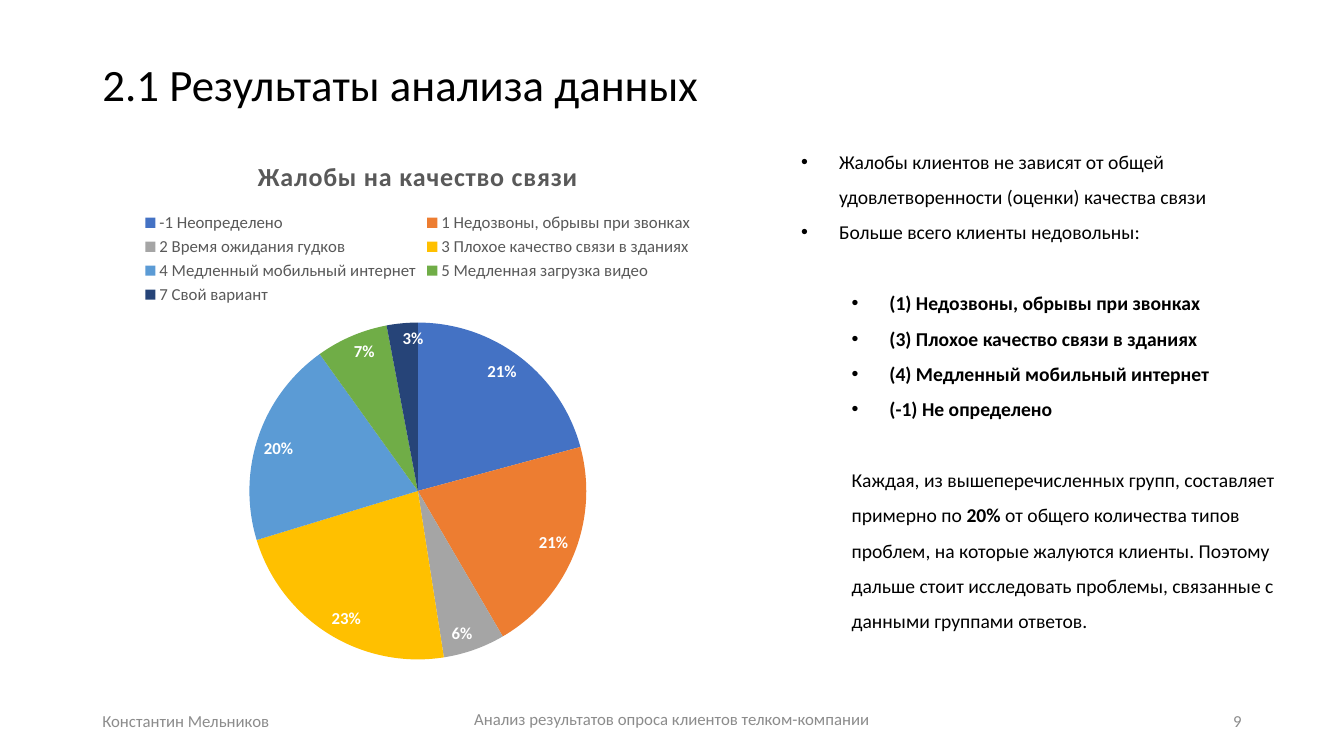
"""Build the slide on complaints about connection quality."""
from lxml import etree
from pptx import Presentation
from pptx.chart.data import CategoryChartData
from pptx.dml.color import RGBColor
from pptx.enum.chart import XL_CHART_TYPE, XL_LABEL_POSITION, XL_LEGEND_POSITION
from pptx.enum.text import MSO_ANCHOR, MSO_AUTO_SIZE, PP_ALIGN
from pptx.oxml.ns import qn
from pptx.util import Pt

LEFT, CENTER, RIGHT = PP_ALIGN.LEFT, PP_ALIGN.CENTER, PP_ALIGN.RIGHT
MIDDLE, TOP = MSO_ANCHOR.MIDDLE, MSO_ANCHOR.TOP
NO_AUTOFIT = MSO_AUTO_SIZE.NONE
PIE, LEGEND_TOP = XL_CHART_TYPE.PIE, XL_LEGEND_POSITION.TOP
INSIDE_END = XL_LABEL_POSITION.INSIDE_END

BLACK = RGBColor(0x00, 0x00, 0x00)
WHITE = RGBColor(0xFF, 0xFF, 0xFF)
DARK_GREY = RGBColor(0x59, 0x59, 0x59)
FOOTER_GREY = RGBColor(0x8C, 0x8C, 0x8C)
BLUE = RGBColor(0x44, 0x72, 0xC4)
ORANGE = RGBColor(0xED, 0x7D, 0x31)
GREY = RGBColor(0xA5, 0xA5, 0xA5)
YELLOW = RGBColor(0xFF, 0xC0, 0x00)
LIGHT_BLUE = RGBColor(0x5B, 0x9B, 0xD5)
GREEN = RGBColor(0x70, 0xAD, 0x47)
NAVY = RGBColor(0x26, 0x44, 0x78)

FONT = "Calibri"
HEADING = "2.1 Результаты анализа данных"
CHART_TITLE = "Жалобы на качество связи"
COMPLAINTS = [
    ("-1 Неопределено", 21, BLUE),
    ("1 Недозвоны, обрывы при звонках", 21, ORANGE),
    ("2 Время ожидания гудков", 6, GREY),
    ("3 Плохое качество связи в зданиях", 23, YELLOW),
    ("4 Медленный мобильный интернет", 20, LIGHT_BLUE),
    ("5 Медленная загрузка видео", 7, GREEN),
    ("7 Свой вариант", 3, NAVY),
]
FINDINGS = [
    "Жалобы клиентов не зависят от общей удовлетворенности (оценки) качества связи",
    "Больше всего клиенты недовольны:",
]
MAIN_GROUPS = [
    "(1) Недозвоны, обрывы при звонках",
    "(3) Плохое качество связи в зданиях",
    "(4) Медленный мобильный интернет",
    "(-1) Не определено",
]
CONCLUSION = [
    ("Каждая, из вышеперечисленных групп, составляет примерно по ", False),
    ("20%", True),
    (" от общего количества типов проблем, на которые жалуются клиенты. "
     "Поэтому дальше стоит исследовать проблемы, связанные с данными группами ответов.", False),
]
FOOTERS = [
    ("Константин Мельников", 66, 500.4, 216, LEFT),
    ("Анализ результатов опроса клиентов телком-компании", 318, 499, 324, CENTER),
    ("9", 678, 500.4, 216, RIGHT),
]
BULLET_INDENT = 27
GROUP_GAP = 25.5


def style_font(font, size, color, bold=False):
    for key, value in {"name": FONT, "size": Pt(size), "bold": bold}.items():
        setattr(font, key, value)
    font.color.rgb = color


def prepare_frame(frame, anchor):
    settings = {"word_wrap": True, "auto_size": NO_AUTOFIT, "vertical_anchor": anchor}
    for key, value in settings.items():
        setattr(frame, key, value)


def add_box(slide, left, top, width, height, anchor):
    frame = slide.shapes.add_textbox(Pt(left), Pt(top), Pt(width), Pt(height)).text_frame
    prepare_frame(frame, anchor)
    return frame


def add_heading(slide):
    heading = slide.shapes.title
    bounds = {"left": 66, "top": 0, "width": 828, "height": 81}
    for key, value in bounds.items():
        setattr(heading, key, Pt(value))
    heading.text_frame.text = HEADING
    prepare_frame(heading.text_frame, MIDDLE)
    paragraph = heading.text_frame.paragraphs[0]
    paragraph.alignment = LEFT
    paragraph.line_spacing = 2.0
    style_font(paragraph.runs[0].font, 32, BLACK)


def add_complaints_chart(slide):
    names, shares, colors = zip(*COMPLAINTS)
    data = CategoryChartData()
    data.categories = names
    data.add_series(CHART_TITLE, shares)
    chart = slide.shapes.add_chart(PIE, Pt(66), Pt(98), Pt(465), Pt(383), data).chart
    style_font(chart.font, 10, BLACK)

    chart.has_title = True
    chart.chart_title.include_in_layout = False
    chart.chart_title.text_frame.text = CHART_TITLE
    title_run = chart.chart_title.text_frame.paragraphs[0].runs[0]
    style_font(title_run.font, 18.6, DARK_GREY, True)
    title_run.font._element.set("spc", "50")

    chart.has_legend = True
    chart.legend.position = LEGEND_TOP
    chart.legend.include_in_layout = False
    style_font(chart.legend.font, 12, DARK_GREY)

    plot = chart.plots[0]
    plot.vary_by_categories = True
    for index, color in enumerate(colors):
        fill = plot.series[0].points[index].format.fill
        fill.solid()
        fill.fore_color.rgb = color
    plot.has_data_labels = True
    labels = plot.data_labels
    label_settings = {
        "show_percentage": True, "show_value": False, "position": INSIDE_END,
        "number_format": "0%", "number_format_is_linked": False,
    }
    for key, value in label_settings.items():
        setattr(labels, key, value)
    style_font(labels.font, 12, WHITE, True)


def add_findings(slide):
    frame = add_box(slide, 565.2, 95, 375.8, 361, TOP)
    items = [([(text, False)], 0, BULLET_INDENT, True, 0) for text in FINDINGS]
    items += [([(text, True)], 1, 36 + BULLET_INDENT, True, 0 if index else GROUP_GAP)
              for index, text in enumerate(MAIN_GROUPS)]
    items.append((CONCLUSION, 1, 36, False, GROUP_GAP))
    for index, (runs, level, margin, bulleted, gap) in enumerate(items):
        paragraph = frame.add_paragraph() if index else frame.paragraphs[0]
        settings = {"level": level, "line_spacing": 1.5, "space_before": Pt(gap)}
        for key, value in settings.items():
            setattr(paragraph, key, value)
        properties = paragraph._p.get_or_add_pPr()
        properties.set("marL", str(Pt(margin)))
        properties.set("indent", str(Pt(-BULLET_INDENT if bulleted else 0)))
        if bulleted:
            etree.SubElement(properties, qn("a:buFont")).set("typeface", "Arial")
            etree.SubElement(properties, qn("a:buChar")).set("char", "•")
        for text, bold in runs:
            run = paragraph.add_run()
            run.text = text
            style_font(run.font, 14, BLACK, bold)


def add_footers(slide):
    for text, left, top, width, alignment in FOOTERS:
        paragraph = add_box(slide, left, top, width, 28.8, MIDDLE).paragraphs[0]
        paragraph.alignment = alignment
        run = paragraph.add_run()
        run.text = text
        style_font(run.font, 12, FOOTER_GREY)


def main():
    presentation = Presentation()
    presentation.slide_width, presentation.slide_height = Pt(960), Pt(540)
    slide = presentation.slides.add_slide(presentation.slide_layouts[5])
    add_heading(slide)
    add_footers(slide)
    add_findings(slide)
    add_complaints_chart(slide)
    presentation.save("out.pptx")


if __name__ == "__main__":
    main()
